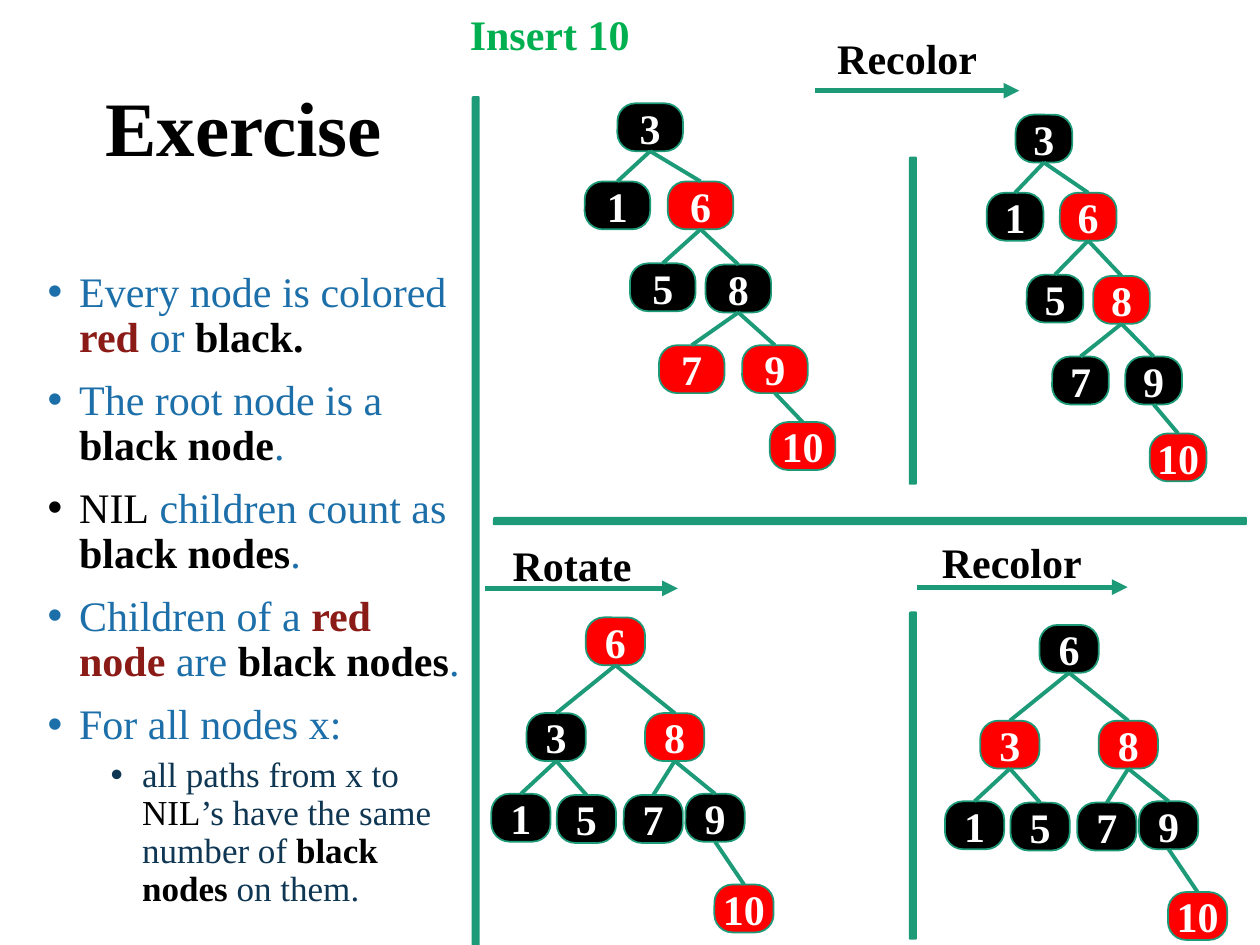
from lxml.etree import SubElement
from pptx import Presentation
from pptx.dml.color import RGBColor
from pptx.enum.shapes import MSO_CONNECTOR as Link, MSO_SHAPE as Shape
from pptx.enum.text import MSO_ANCHOR as Anchor, PP_ALIGN as Align
from pptx.oxml.ns import qn
from pptx.util import Inches, Pt

COLORS = {"teal": "1D9A78", "black": "000000", "red": "FF0000", "white": "FFFFFF",
          "green": "00B050", "blue": "1D6FA9", "dark_red": "8B1B17", "navy": "0F3754"}
FONT = "Times New Roman"


def color(name):
    return RGBColor.from_string(COLORS[name])


def add_text(para, text, *, size=24, tint="black", bold=True, align=None, spacing=None):
    """Add one formatted span to a paragraph."""
    if align is not None:
        para.alignment = align
    if spacing:
        para.line_spacing = spacing
    span = para.add_run()
    span.text = text
    span.font.name = FONT
    span.font.size = Pt(size)
    span.font.bold = bold
    span.font.color.rgb = color(tint)


class SlideBuilder:
    line_tint = "teal"
    node_height = 0.38

    def __init__(self, page):
        self.shapes = page.shapes

    def text_box(self, left, top, width, height, anchor=Anchor.TOP):
        box = self.shapes.add_textbox(*map(Inches, (left, top, width, height)))
        frame = box.text_frame
        frame.word_wrap = True
        frame.vertical_anchor = anchor
        return frame

    def label(self, text, left, top, width, height, anchor=Anchor.TOP, **style):
        frame = self.text_box(left, top, width, height, anchor)
        add_text(frame.paragraphs[0], text, **style)

    def bullets(self, items, left, top, width, height):
        frame = self.text_box(left, top, width, height)
        for index, (level, spans) in enumerate(items):
            para = frame.paragraphs[0] if index == 0 else frame.add_paragraph()
            para.level = level
            props = para._p.get_or_add_pPr()
            props.set("marL", str(Inches(0.25 + 0.5 * level)))
            props.set("indent", str(Inches(-0.25)))
            SubElement(props, qn("a:buFont")).set("typeface", "Arial")
            SubElement(props, qn("a:buChar")).set("char", "•")
            if index:
                para.space_before = Pt(5 if level else 10)
            for text, tint, bold in spans:
                add_text(para, text, size=20 if level else 24, tint=tint,
                         bold=bold, spacing=0.9)

    def block(self, kind, left, top, width, height, fill):
        shape = self.shapes.add_shape(kind, *map(Inches, (left, top, width, height)))
        shape.shadow.inherit = False
        shape.fill.solid()
        shape.fill.fore_color.rgb = color(fill)
        shape.line.color.rgb = color(self.line_tint)
        shape.line.width = Pt(1)
        return shape

    def divider(self, left, top, width, height):
        bar = self.block(Shape.ROUND_1_RECTANGLE, left, top, width, height, self.line_tint)
        bar.element.spPr.find(qn("a:xfrm")).set("flipH", "1")

    def connector(self, start, end, weight, arrow=False):
        link = self.shapes.add_connector(Link.STRAIGHT, *map(Inches, (*start, *end)))
        link.line.color.rgb = color(self.line_tint)
        link.line.width = Pt(weight)
        if arrow:
            SubElement(link.line._get_or_add_ln(), qn("a:tailEnd")).set("type", "triangle")
        SubElement(link.element.spPr, qn("a:effectLst"))
        return link

    def step(self, text, text_area, start, end):
        self.connector(start, end, 3, arrow=True)
        self.label(text, *text_area, align=Align.CENTER)

    def node(self, value, left, top, width, fill):
        node = self.block(Shape.ROUNDED_RECTANGLE, left, top, width, self.node_height, fill)
        node.adjustments[0] = 0.378
        frame = node.text_frame
        frame.margin_left = frame.margin_right = frame.margin_top = frame.margin_bottom = 0
        frame.vertical_anchor = Anchor.MIDDLE
        add_text(frame.paragraphs[0], str(value), tint="white", align=Align.CENTER)
        return node

    def tree(self, layout, left, top, width, reds, stretch=1):
        """Layout maps each value to (parent, x offset, y offset) from the root."""
        nodes = {}
        for value, (parent, dx, dy) in layout.items():
            fill = "red" if value in reds else "black"
            nodes[value] = self.node(value, left + dx * stretch, top + dy, width, fill)
            if parent is not None:
                edge = self.connector((0, 0), (0, 0), 2.25)
                edge.begin_connect(nodes[parent], 2)
                edge.end_connect(nodes[value], 0)


LEANING_TREE = {3: (None, 0, 0), 1: (3, -0.26, 0.62), 6: (3, 0.4, 0.62),
                5: (6, 0.1, 1.27), 8: (6, 0.7, 1.28), 7: (8, 0.33, 1.92),
                9: (8, 0.99, 1.92), 10: (9, 1.21, 2.53)}
ROTATED_TREE = {6: (None, 0, 0), 3: (6, -0.47, 0.76), 8: (6, 0.47, 0.76),
                1: (3, -0.75, 1.4), 5: (3, -0.23, 1.41), 7: (8, 0.3, 1.41),
                9: (8, 0.79, 1.4), 10: (9, 1.02, 2.12)}
# Each rule: level, then spans of text, colour and bold
RULES = [
    (0, [("Every node is colored ", "blue", False), ("red", "dark_red", True),
         (" or ", "blue", False), ("black.", "black", True)]),
    (0, [("The root node is a ", "blue", False), ("black node", "black", True),
         (".", "blue", False)]),
    (0, [("NIL", "black", False), (" children count as ", "blue", False),
         ("black nodes", "black", True), (".", "blue", False)]),
    (0, [("Children of a ", "blue", False), ("red node ", "dark_red", True),
         ("are ", "blue", False), ("black nodes", "black", True), (".", "blue", False)]),
    (0, [("For all nodes x:", "blue", False)]),
    (1, [("all paths from x to ", "navy", False), ("NIL", "black", False),
         ("’s have the same number of ", "navy", False),
         ("black nodes ", "black", True), ("on them.", "navy", False)]),
]


def main():
    deck = Presentation()
    deck.slide_width, deck.slide_height = Inches(10), Inches(7.5)
    builder = SlideBuilder(deck.slides.add_slide(deck.slide_layouts[6]))

    # Title and rules
    builder.label("Exercise", 0.74, 0.65, 2.45, 0.78, Anchor.MIDDLE, size=44, spacing=0.9)
    builder.bullets(RULES, 0.28, 2.1, 3.52, 5.3)
    builder.label("Insert 10", 3.63, 0.08, 1.78, 0.43, Anchor.MIDDLE,
                  tint="green", spacing=0.9)

    # Dividers between the four stages
    builder.divider(3.75, 0.77, 0.05, 6.73)
    builder.divider(3.92, 4.11, 5.97, 0.05)
    for top in (1.25, 4.86):
        builder.divider(7.22, top, 0.05, 2.59)

    # Step arrows
    builder.step("Recolor", (6.46, 0.21, 1.48, 0.39), (6.47, 0.72), (8.09, 0.72))
    builder.step("Rotate", (3.84, 4.23, 1.4, 0.5), (3.85, 4.67), (5.38, 4.67))
    builder.step("Recolor", (7.27, 4.21, 1.52, 0.53), (7.28, 4.66), (8.95, 4.66))

    # Trees
    builder.tree(LEANING_TREE, 4.9, 0.82, 0.52, reds={6, 7, 9, 10})
    builder.tree(LEANING_TREE, 8.06, 0.91, 0.45, reds={6, 8, 10}, stretch=0.88)
    builder.tree(ROTATED_TREE, 4.65, 4.9, 0.47, reds={6, 8, 10})
    builder.tree(ROTATED_TREE, 8.25, 4.96, 0.47, reds={3, 8, 10})

    deck.save("out.pptx")


if __name__ == "__main__":
    main()
